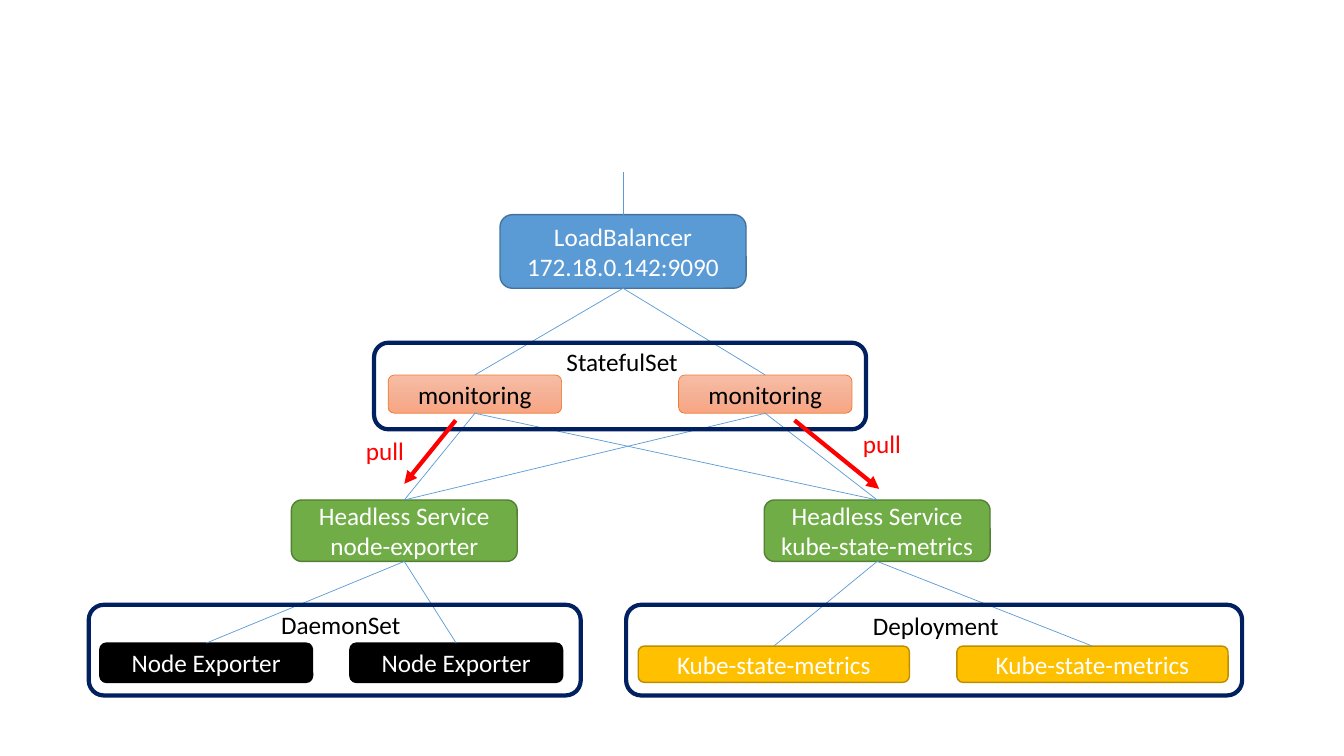
from copy import deepcopy

from pptx import Presentation
from pptx.dml.color import RGBColor
from pptx.enum.shapes import MSO_CONNECTOR as Link, MSO_SHAPE as Kind
from pptx.enum.text import MSO_ANCHOR as Anchor, MSO_AUTO_SIZE as Fit, PP_ALIGN as Align
from pptx.oxml.ns import qn
from pptx.oxml.xmlchemy import OxmlElement as Node
from pptx.util import Inches, Pt

TOP, BOTTOM = 0, 2  # connection sites of a box


def color(code):
    return RGBColor.from_string(code)


def assign(obj, values):
    for name, value in values.items():
        setattr(obj, name, value)


class Board:
    font = "Calibri"
    size = 18
    blue, navy, red = "5B9BD5", "002060", "FF0000"
    peach = ("F7BDA5", "F5B196", "F8A582")

    def __init__(self, slide):
        self.shapes = slide.shapes

    def letter(self, frame, text, ink, align):
        """Put styled text into a frame, one paragraph per line."""
        frame.text = text
        for para in frame.paragraphs:
            para.alignment = align
            assign(para.font, {"name": self.font, "size": Pt(self.size)})
            para.font.color.rgb = color(ink)

    def stroke(self, shape, ink, width):
        shape.line.color.rgb = color(ink)
        shape.line.width = Pt(width)

    def shade(self, shape, codes):
        """Fill from top to bottom with three evenly spaced colours."""
        fill = shape.fill
        fill.gradient()
        fill.gradient_angle = 270
        first = next(shape._element.spPr.iter(qn("a:gs")))
        first.addnext(deepcopy(first))
        for i, (stop, code) in enumerate(zip(fill.gradient_stops, codes)):
            stop.position = i / 2
            stop.color.rgb = color(code)

    def round(self, area, edge, width):
        shape = self.shapes.add_shape(Kind.ROUNDED_RECTANGLE, *map(Inches, area))
        shape.shadow.inherit = False
        self.stroke(shape, edge, width)
        return shape

    def box(self, area, text, fill, edge, ink="FFFFFF", width=1):
        shape = self.round(area, edge, width)
        if isinstance(fill, tuple):
            self.shade(shape, fill)
        else:
            shape.fill.solid()
            shape.fill.fore_color.rgb = color(fill)
        shape.text_frame.vertical_anchor = Anchor.MIDDLE
        self.letter(shape.text_frame, text, ink, Align.CENTER)
        return shape

    def group(self, area):
        self.round(area, self.navy, 3).fill.background()

    def label(self, area, text, ink="000000"):
        frame = self.shapes.add_textbox(*map(Inches, area)).text_frame
        assign(frame, {"word_wrap": False, "auto_size": Fit.SHAPE_TO_FIT_TEXT})
        self.letter(frame, text, ink, Align.LEFT)

    def line(self, start, end, ink=blue, width=0.5):
        wire = self.shapes.add_connector(Link.STRAIGHT, *map(Inches, start + end))
        wire._element.spPr.append(Node("a:effectLst"))
        self.stroke(wire, ink, width)
        return wire

    def join(self, upper, lower):
        wire = self.line((0, 0), (0, 0))
        wire.begin_connect(upper, BOTTOM)
        wire.end_connect(lower, TOP)

    def arrow(self, start, end):
        wire = self.line(start, end, self.red, 3)
        tail = Node("a:tailEnd")
        tail.set("type", "triangle")
        wire.line._get_or_add_ln().append(tail)


def main():
    deck = Presentation()
    assign(deck, {"slide_width": Inches(13.33), "slide_height": Inches(7.5)})
    board = Board(deck.slides.add_slide(deck.slide_layouts[6]))

    entry = board.box((4.96, 2.13, 2.44, 0.73), "LoadBalancer\n172.18.0.142:9090",
                      board.blue, "43739E")
    monitors = [board.box((x, 3.72, 1.72, 0.38), "monitoring", board.peach,
                          "ED7D31", "000000", 0.5) for x in (3.85, 6.73)]
    services = [board.box((x, 4.96, 2.24, 0.61), f"Headless Service\n{name}",
                          "70AD47", "538035")
                for x, name in ((2.89, "node-exporter"), (7.58, "kube-state-metrics"))]
    nodes = [board.box((x, 6.38, 2.11, 0.39), "Node Exporter", "000000", "000000")
             for x in (0.99, 3.47)]
    metrics = [board.box((x, 6.41, 2.69, 0.36), "Kube-state-metrics",
                         "FFC000", "BD8E00") for x in (6.33, 9.49)]

    board.line((6.18, 1.71), (6.18, 2.13))
    links = [(entry, monitors), *((monitor, services) for monitor in monitors),
             *zip(services, (nodes, metrics))]
    for upper, lowers in links:
        for lower in lowers:
            board.join(upper, lower)

    for area in ((3.71, 3.4, 4.88, 0.86), (0.88, 6, 4.88, 0.9), (6.21, 6, 6.11, 0.9)):
        board.group(area)
    for x, y, width, text in ((5.52, 3.39, 1.32, "StatefulSet"),
                              (2.69, 6, 1.4, "DaemonSet"),
                              (8.56, 6.01, 1.46, "Deployment")):
        board.label((x, y, width, 0.4), text)

    board.arrow((4.52, 4.17), (4.01, 4.8))
    board.arrow((7.88, 4.17), (8.72, 4.85))
    for x, y in ((3.53, 4.27), (8.46, 4.2)):
        board.label((x, y, 0.58, 0.4), "pull", board.red)

    deck.save("out.pptx")


if __name__ == "__main__":
    main()
